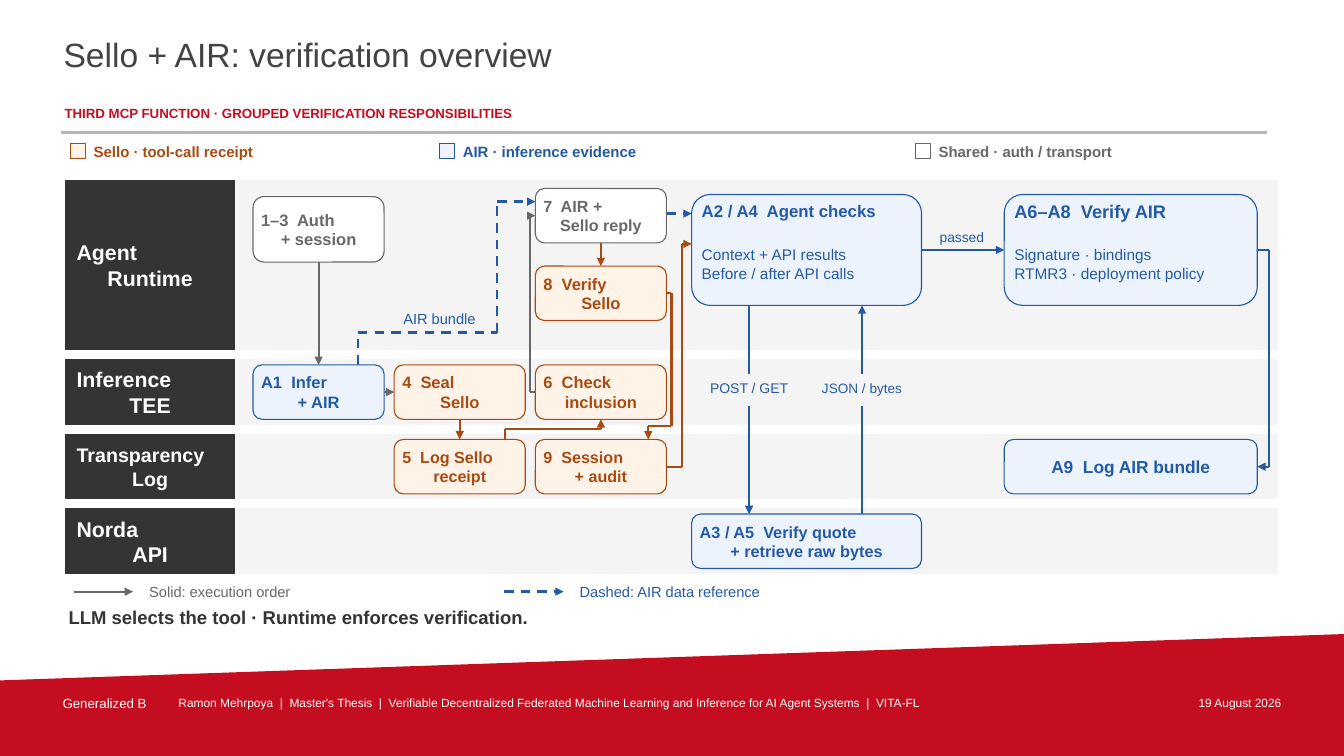
from itertools import pairwise
from lxml.etree import SubElement
from pptx import Presentation
from pptx.dml.color import RGBColor
from pptx.enum.dml import MSO_LINE
from pptx.enum.shapes import MSO_CONNECTOR, MSO_SHAPE
from pptx.enum.text import MSO_ANCHOR, PP_ALIGN
from pptx.oxml.ns import qn
from pptx.util import Inches, Pt

WIDTH, HEIGHT = 13.33, 7.5
RED, WHITE, DARK, LANE_GREY = "C40D1E", "FFFFFF", "343434", "F4F4F4"
SELLO, AIR, SHARED = "A84B13", "245AA5", "686868"
TINT = {SELLO: "FFF3E8", AIR: "EDF3FD", SHARED: WHITE}
LEFT, CENTER, RIGHT = PP_ALIGN.LEFT, PP_ALIGN.CENTER, PP_ALIGN.RIGHT
hex_color = RGBColor.from_string

presentation = Presentation()
presentation.slide_width, presentation.slide_height = Inches(WIDTH), Inches(HEIGHT)
slide = presentation.slides.add_slide(presentation.slide_layouts[6])
shapes = slide.shapes


def add_panel(left, top, width, height, fill, outline, preset=MSO_SHAPE.RECTANGLE, weight=0.8):
    panel = shapes.add_shape(preset, Inches(left), Inches(top), Inches(width), Inches(height))
    panel.shadow.inherit = False
    panel.fill.solid()
    panel.fill.fore_color.rgb = hex_color(fill)
    panel.line.color.rgb = hex_color(outline)
    panel.line.width = Pt(weight)


def add_label(left, top, width, height, text, size, color, bold=False, align=LEFT,
              anchor=MSO_ANCHOR.MIDDLE, inset=0.0):
    """Write a label; the alignment applies to its last line."""
    box = shapes.add_textbox(Inches(left), Inches(top), Inches(width), Inches(height))
    frame = box.text_frame
    frame.word_wrap = True
    frame.vertical_anchor = anchor
    frame.margin_left = frame.margin_right = Inches(inset)
    frame.margin_top = frame.margin_bottom = Inches(inset)
    frame.text = text
    frame.paragraphs[-1].alignment = align
    for paragraph in frame.paragraphs:
        for run in paragraph.runs:
            run.font.name = "Arial"
            run.font.size = Pt(size)
            run.font.bold = bold
            run.font.color.rgb = hex_color(color)


# Slanted footer band
band = shapes.build_freeform(0, Inches(6.75))
band.add_line_segments([(Inches(x), Inches(y)) for x, y in
                        [(WIDTH, 6.29), (WIDTH, HEIGHT), (0, HEIGHT)]])
footer_band = band.convert_to_shape()
footer_band.shadow.inherit = False
footer_band.fill.solid()
footer_band.fill.fore_color.rgb = hex_color(RED)
footer_band.line.fill.background()

# Title, subtitle and footer
for left, top, width, height, text, size, color, bold, align in [
    (0.61, 0.32, 9.65, 0.62, "Sello + AIR: verification overview", 24, "434343", False, LEFT),
    (0.62, 1.02, 9.7, 0.22, "THIRD MCP FUNCTION · GROUPED VERIFICATION RESPONSIBILITIES",
     9.5, RED, True, LEFT),
    (0.6, 6.88, 1.15, 0.22, "Generalized B", 9.5, WHITE, False, LEFT),
    (1.75, 6.88, 9.35, 0.22, "Ramon Mehrpoya  |  Master's Thesis  |  Verifiable Decentralized "
     "Federated Machine Learning and Inference for AI Agent Systems  |  VITA-FL",
     8.5, WHITE, False, LEFT),
    (11.2, 6.88, 1.53, 0.22, "19 August 2026", 8.5, WHITE, False, RIGHT),
]:
    add_label(left, top, width, height, text, size, color, bold, align, MSO_ANCHOR.TOP, 0.02)
add_panel(0.61, 1.3, 11.95, 0.02, "B7B7B7", "B7B7B7", weight=0.5)

# Colour legend
for left, width, meaning, color in [
    (0.7, 3, "Sello · tool-call receipt", SELLO),
    (4.36, 3.9, "AIR · inference evidence", AIR),
    (9.08, 3.44, "Shared · auth / transport", SHARED),
]:
    add_panel(left, 1.42, 0.15, 0.15, TINT[color], color)
    add_label(left + 0.23, 1.39, width, 0.23, meaning, 10.7, color, True)

# Swimlanes, stacked with equal gaps
LANE_LEFT, LANE_WIDTH, HEAD_WIDTH, LANE_GAP = 0.65, 12.02, 1.68, 0.1
lane_tops = []
lane_top = 1.79
for lane_name, lane_height, size in [
    ("Agent\nRuntime", 1.68, 15.2),
    ("Inference\nTEE", 0.64, 15.2),
    ("Transparency\nLog", 0.64, 14),
    ("Norda\nAPI", 0.64, 15.2),
]:
    add_panel(LANE_LEFT, lane_top, LANE_WIDTH, lane_height, LANE_GREY, LANE_GREY)
    add_panel(LANE_LEFT, lane_top, HEAD_WIDTH, lane_height, DARK, DARK)
    add_label(LANE_LEFT + 0.11, lane_top + 0.05, HEAD_WIDTH - 0.22, lane_height - 0.1,
              lane_name, size, WHITE, True, CENTER)
    lane_tops.append(lane_top)
    lane_top += lane_height + LANE_GAP

# Grid of the steps
STEP_WIDTH, STEP_HEIGHT = 1.3, 0.54
infer, seal, check = [2.51 + 1.4 * column for column in range(3)]
agent, agent_width = 6.86, 2.28
verify, verify_width = 9.96, 2.51
tee, log, api = [top + 0.05 for top in lane_tops[1:]]
tee_mid, log_mid = tee + STEP_HEIGHT / 2, log + STEP_HEIGHT / 2
tee_end, log_end = tee + STEP_HEIGHT, log + STEP_HEIGHT
infer_end, check_end = infer + STEP_WIDTH, check + STEP_WIDTH
agent_end, verify_end = agent + agent_width, verify + verify_width
seal_mid, check_mid = seal + STEP_WIDTH / 2, check + STEP_WIDTH / 2
CHECKS_TOP, CHECKS_HEIGHT = 1.93, 1.1
checks_mid, checks_end = CHECKS_TOP + CHECKS_HEIGHT / 2, CHECKS_TOP + CHECKS_HEIGHT

# Arrows: each route ends in an arrowhead
for color, dashed, route in [
    (SHARED, False, [(3.16, 2.6), (3.16, tee)]),
    (SHARED, False, [(infer_end, tee_mid), (seal, tee_mid)]),
    (SELLO, False, [(seal_mid, tee_end), (seal_mid, log)]),
    (SELLO, False, [(5.01, log), (5.01, 4.26), (check_mid, 4.26), (check_mid, tee_end)]),
    (SHARED, False, [(check, tee_mid), (5.26, tee_mid), (5.26, 2.14), (check, 2.14)]),
    (SELLO, False, [(check_mid, 2.41), (check_mid, 2.64)]),
    (SELLO, False, [(check_end, 2.91), (6.66, 2.91), (6.66, 4.23), (6.43, 4.23), (6.43, log)]),
    (SELLO, False, [(check_end, log_mid), (6.76, log_mid), (6.76, 2.42), (agent, 2.42)]),
    (AIR, True, [(3.55, tee), (3.55, 3.3), (4.93, 3.3), (4.93, 2), (check, 2)]),
    (AIR, True, [(check_end, 2.12), (agent, 2.12)]),
    (AIR, False, [(7.43, checks_end), (7.43, api)]),
    (AIR, False, [(8.55, api), (8.55, checks_end)]),
    (AIR, False, [(agent_end, checks_mid), (verify, checks_mid)]),
    (AIR, False, [(verify_end, checks_mid), (12.59, checks_mid), (12.59, log_mid),
                  (verify_end, log_mid)]),
    (SHARED, False, [(0.73, 5.87), (1.32, 5.87)]),
    (AIR, True, [(5, 5.87), (5.59, 5.87)]),
]:
    for start, end in pairwise(route):
        segment = shapes.add_connector(MSO_CONNECTOR.STRAIGHT,
                                       *[Inches(value) for value in start + end])
        segment.line.color.rgb = hex_color(color)
        segment.line.width = Pt(1.7 if dashed else 1.5)
        if dashed:
            segment.line.dash_style = MSO_LINE.DASH
        SubElement(segment.element.spPr, qn("a:effectLst"))
    SubElement(segment.line._get_or_add_ln(), qn("a:tailEnd"), type="triangle")

# Steps
for left, top, width, height, step, size, color in [
    (infer, 1.95, STEP_WIDTH, 0.65, "1–3  Auth\n+ session", 11.8, SHARED),
    (infer, tee, STEP_WIDTH, STEP_HEIGHT, "A1  Infer\n+ AIR", 11.8, AIR),
    (seal, tee, STEP_WIDTH, STEP_HEIGHT, "4  Seal\nSello", 11.8, SELLO),
    (seal, log, STEP_WIDTH, STEP_HEIGHT, "5  Log Sello\nreceipt", 11.5, SELLO),
    (check, tee, STEP_WIDTH, STEP_HEIGHT, "6  Check\ninclusion", 11.8, SELLO),
    (check, 1.87, STEP_WIDTH, STEP_HEIGHT, "7  AIR +\nSello reply", 11.5, SHARED),
    (check, 2.64, STEP_WIDTH, STEP_HEIGHT, "8  Verify\nSello", 11.8, SELLO),
    (check, log, STEP_WIDTH, STEP_HEIGHT, "9  Session\n+ audit", 11.5, SELLO),
    (agent, api, agent_width, STEP_HEIGHT, "A3 / A5  Verify quote\n+ retrieve raw bytes", 11.6, AIR),
    (verify, log, verify_width, STEP_HEIGHT, "A9  Log AIR bundle", 12.4, AIR),
]:
    add_panel(left, top, width, height, TINT[color], color, MSO_SHAPE.ROUNDED_RECTANGLE)
    add_label(left + 0.08, top + 0.03, width - 0.16, height - 0.06, step, size, color, True, CENTER)

# Check groups with details
for left, width, heading, size, details in [
    (agent, agent_width, "A2 / A4  Agent checks", 12,
     "Context + API results\nBefore / after API calls"),
    (verify, verify_width, "A6–A8  Verify AIR", 13,
     "Signature · bindings\nRTMR3 · deployment policy"),
]:
    add_panel(left, CHECKS_TOP, width, CHECKS_HEIGHT, TINT[AIR], AIR, MSO_SHAPE.ROUNDED_RECTANGLE)
    add_label(left + 0.1, CHECKS_TOP + 0.03, width - 0.2, 0.27, heading, size, AIR, True)
    add_label(left + 0.1, CHECKS_TOP + 0.32, width - 0.2, 0.74, details, 11, AIR)

# Arrow captions
for left in (6.93, 8.05):
    add_panel(left, 3.72, 1, 0.3, LANE_GREY, LANE_GREY)
for left, top, width, caption, size in [
    (3.68, 3.06, 1.36, "AIR bundle", 10.5),
    (9.22, 2.25, 0.64, "passed", 9.9),
    (6.96, 3.75, 0.94, "POST / GET", 10),
    (8.06, 3.75, 0.98, "JSON / bytes", 9.7),
]:
    add_label(left, top, width, 0.2, caption, size, AIR, align=CENTER)

# Line legend and takeaway
add_label(1.48, 5.76, 2.82, 0.21, "Solid: execution order", 10.5, SHARED)
add_label(5.75, 5.76, 3.92, 0.21, "Dashed: AIR data reference", 10.5, AIR)
add_label(0.68, 6, 11.98, 0.25, "LLM selects the tool · Runtime enforces verification.",
          13.2, DARK, True)

presentation.save("out.pptx")
